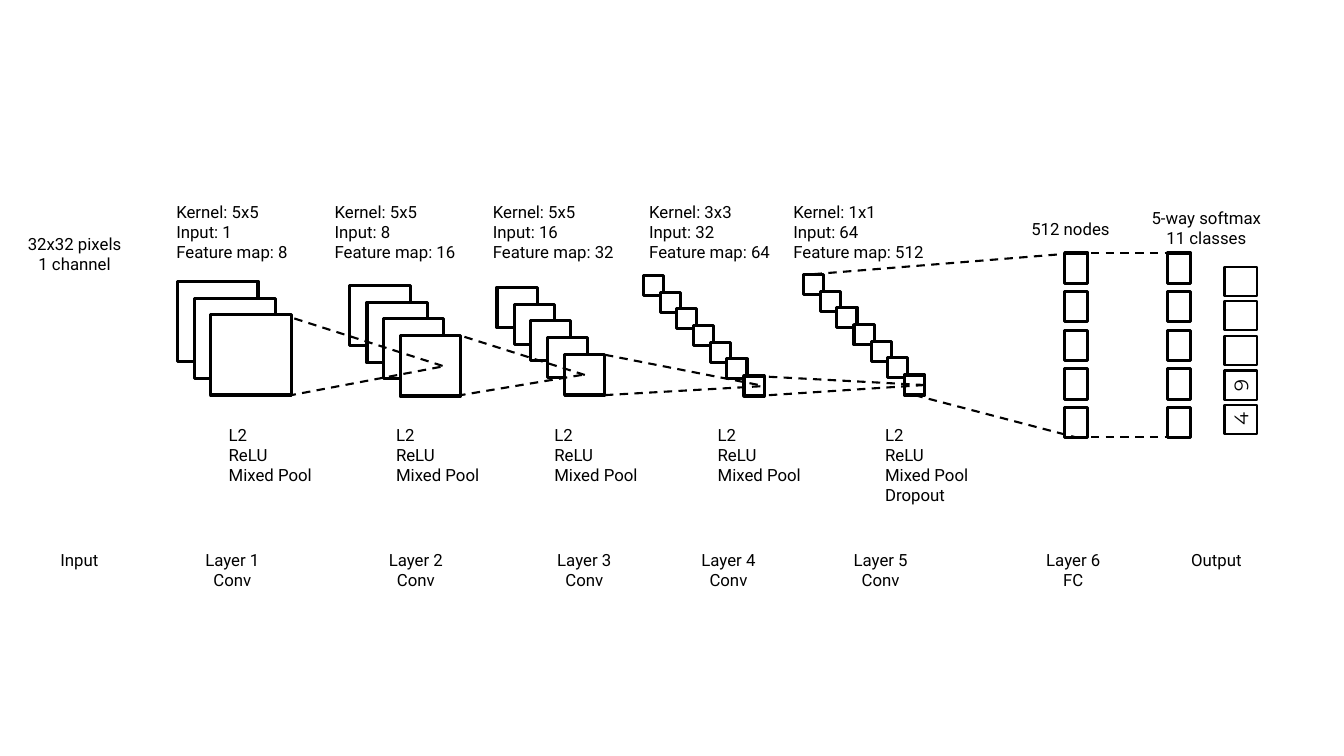
from lxml.etree import SubElement
from pptx import Presentation
from pptx.dml.color import RGBColor
from pptx.enum.dml import MSO_LINE
from pptx.enum.shapes import MSO_CONNECTOR, MSO_SHAPE
from pptx.enum.text import MSO_ANCHOR, MSO_AUTO_SIZE, PP_ALIGN
from pptx.oxml.ns import qn
from pptx.util import Emu, Pt

PX = 9144  # 100 px to the inch
BLACK, WHITE = "000000", "FFFFFF"
TOP, BOTTOM, RIGHT = 0, 2, 3
STACK_STEP = 50 / 3
NODE_STEP = 38.25
DIGIT_STEP = 34.25
POOLING = "L2\nReLU\nMixed Pool"

# Left, top, width, text, centred
LABELS = [
    (14, 227, 120, "32x32 pixels\n1 channel", True),
    (165, 195, 152, "Kernel: 5x5\nInput: 1\nFeature map: 8", False),
    (322, 195, 152, "Kernel: 5x5\nInput: 8\nFeature map: 16", False),
    (479, 195, 152, "Kernel: 5x5\nInput: 16\nFeature map: 32", False),
    (634, 195, 152, "Kernel: 3x3\nInput: 32\nFeature map: 64", False),
    (777, 195, 166, "Kernel: 1x1\nInput: 64\nFeature map: 512", False),
    (1013, 212, 152, "512 nodes", False),
    (1129, 201, 135, "5-way softmax\n11 classes", True),
    (217, 416, 120, POOLING, False),
    (383, 416, 120, POOLING, False),
    (540, 416, 120, POOLING, False),
    (702, 416, 120, POOLING, False),
    (868, 416, 120, POOLING + "\nDropout", False),
    (50, 540, 115, "Input", False),
    (173, 540, 115, "Layer 1\nConv", True),
    (355, 540, 115, "Layer 2\nConv", True),
    (522, 540, 115, "Layer 3\nConv", True),
    (665, 540, 115, "Layer 4\nConv", True),
    (818, 540, 111, "Layer 5\nConv", True),
    (1007, 540, 115, "Layer 6\nFC", True),
    (1149, 540, 115, "Output", True),
]
# Left, top, side, number of feature maps
STACKS = [
    (176, 279, 80, 3),
    (347, 283, 60, 4),
    (493, 285, 40, 5),
    (638, 273, 20, 7),
    (797, 272, 20, 7),
]
# Dashed lines that end inside a feature map or at a corner
FREE_LINES = [
    (439, 363, 289, 315),
    (437, 364, 289, 392),
    (580, 372, 457, 333),
    (577, 372, 457, 392),
]


def px(length):
    return Emu(round(length) * PX)


def color(hex_text):
    return RGBColor.from_string(hex_text)


def write(shape, text, font, size, align):
    frame = shape.text_frame
    frame.text = text
    for para in frame.paragraphs:
        para.alignment = align
        for span in para.runs:
            span.font.name = font
            span.font.size = Pt(size)
            span.font.color.rgb = color(BLACK)


def add_label(page, left, top, width, text, centred):
    height = 10 + 20 * len(text.split("\n"))
    box = page.shapes.add_textbox(px(left), px(top), px(width), px(height))
    write(box, text, "Roboto", 12, PP_ALIGN.CENTER if centred else PP_ALIGN.LEFT)
    box.text_frame.word_wrap = True
    box.text_frame.auto_size = MSO_AUTO_SIZE.SHAPE_TO_FIT_TEXT


def add_box(page, left, top, width, height, weight=2.25, filled=True):
    box = page.shapes.add_shape(
        MSO_SHAPE.RECTANGLE, px(left), px(top), px(width), px(height))
    box.shadow.inherit = False
    if filled:
        box.fill.solid()
        box.fill.fore_color.rgb = color(WHITE)
    else:
        box.fill.background()
    box.line.color.rgb = color(BLACK)
    box.line.width = Pt(weight)
    return box


def add_stack(page, left, top, side, count):
    """Draw overlapping feature maps and return them from back to front."""
    return [add_box(page, left + i * STACK_STEP, top + i * STACK_STEP, side, side)
            for i in range(count)]


def add_nodes(page, left):
    return [add_box(page, left, 251 + i * NODE_STEP, 23, 30, filled=False)
            for i in range(5)]


def add_digits(page):
    for i, digit in enumerate(["", "", "", "9", "4"]):
        box = add_box(page, 1216, 263 + i * DIGIT_STEP, 29, 32, weight=1.5)
        box.rotation = 270
        if digit:
            write(box, digit, "Montserrat", 14, PP_ALIGN.CENTER)
            frame = box.text_frame
            frame.vertical_anchor = MSO_ANCHOR.MIDDLE
            frame.margin_left = frame.margin_right = 0
            frame.margin_top = frame.margin_bottom = 0


def add_dashes(page, x1=0, y1=0, x2=0, y2=0):
    line = page.shapes.add_connector(
        MSO_CONNECTOR.STRAIGHT, px(x1), px(y1), px(x2), px(y2))
    line.line.color.rgb = color(BLACK)
    line.line.width = Pt(1.5)
    line.line.dash_style = MSO_LINE.DASH
    SubElement(line._element.spPr, qn("a:effectLst"))
    return line


def join(page, start, start_side, end, end_side):
    line = add_dashes(page)
    line.begin_connect(start, start_side)
    line.end_connect(end, end_side)


def main():
    deck = Presentation()
    deck.slide_width, deck.slide_height = px(1333), px(750)
    page = deck.slides.add_slide(deck.slide_layouts[6])

    for label in LABELS:
        add_label(page, *label)
    stacks = [add_stack(page, *stack) for stack in STACKS]
    hidden_nodes = add_nodes(page, 1056)
    output_nodes = add_nodes(page, 1158)
    add_digits(page)

    for ends in FREE_LINES:
        add_dashes(page, *ends)
    fourth, fifth = stacks[3], stacks[4]
    for corner_y in (352, 392):
        add_dashes(page, 600, corner_y, 758, 383).end_connect(fourth[-1], RIGHT)
    for side in (TOP, BOTTOM):
        join(page, fourth[-1], side, fifth[-1], RIGHT)
    for side, i in ((TOP, 0), (BOTTOM, -1)):
        join(page, fifth[i], side, hidden_nodes[i], side)
        join(page, hidden_nodes[i], side, output_nodes[i], side)

    deck.save("out.pptx")


if __name__ == "__main__":
    main()
